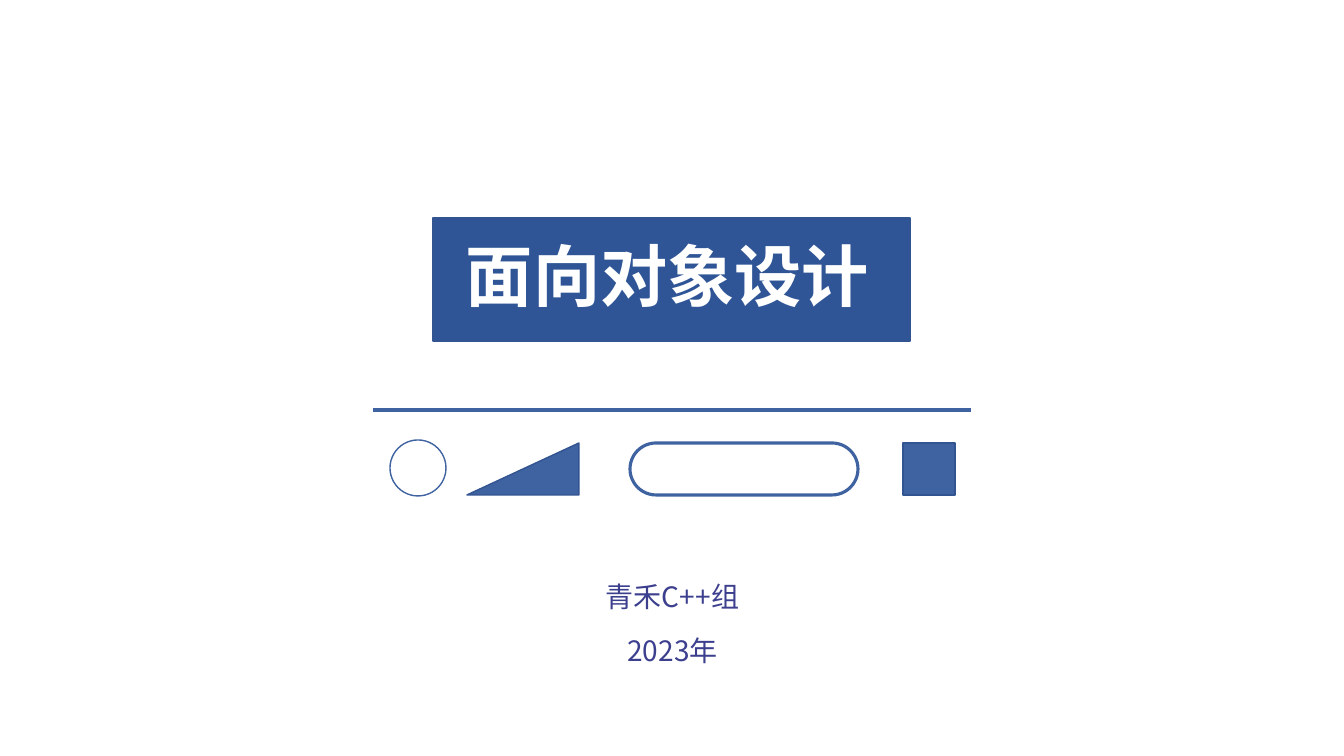
from lxml.etree import SubElement
from pptx import Presentation
from pptx.dml.color import RGBColor
from pptx.enum.shapes import MSO_CONNECTOR, MSO_SHAPE
from pptx.enum.text import MSO_AUTO_SIZE, PP_ALIGN
from pptx.oxml.ns import qn
from pptx.util import Emu, Pt

SLIDE_W, SLIDE_H = 1344, 756
EMU_PER_PX = 12192000 / SLIDE_W
WHITE = RGBColor(0xFF, 0xFF, 0xFF)
BANNER = RGBColor(0x2F, 0x55, 0x97)
BLUE = RGBColor(0x3F, 0x63, 0xA1)
EDGE = RGBColor(0x32, 0x54, 0x91)
INDIGO = RGBColor(0x3C, 0x3F, 0x8E)
CJK_FONT = "Noto Sans CJK SC"
TEXT_X, TEXT_W = 456, 433
ROW_Y, ROW_H = 443, 52


def px(n):
    return Emu(round(n * EMU_PER_PX))


def add_figure(s, kind, x, y, w, h, fill=None, line=EDGE, weight=1):
    sp = s.shapes.add_shape(kind, px(x), px(y), px(w), px(h))
    sp.shadow.inherit = False
    if fill is None:
        sp.fill.background()
    else:
        sp.fill.solid()
        sp.fill.fore_color.rgb = fill
    sp.line.color.rgb = line
    sp.line.width = Pt(weight)
    return sp


def add_rule(s, x1, x2, y, color, weight):
    cn = s.shapes.add_connector(MSO_CONNECTOR.STRAIGHT, px(x1), px(y), px(x2), px(y))
    cn.line.color.rgb = color
    cn.line.width = Pt(weight)
    SubElement(cn._element.spPr, qn("a:effectLst"))


def add_text(s, text, y, h, size=20, font=CJK_FONT, color=INDIGO, bold=False,
             align=PP_ALIGN.CENTER):
    sp = s.shapes.add_textbox(px(TEXT_X), px(y), px(TEXT_W), px(h))
    tf = sp.text_frame
    tf.word_wrap = True
    tf.auto_size = MSO_AUTO_SIZE.SHAPE_TO_FIT_TEXT
    p = tf.paragraphs[0]
    p.alignment = align
    r = p.add_run()
    r.text = text
    r.font.size = Pt(size)
    r.font.bold = bold
    r.font.color.rgb = color
    r.font.name = font
    SubElement(r._r.get_or_add_rPr(), qn("a:ea")).set("typeface", CJK_FONT)


def main():
    prs = Presentation()
    prs.slide_width, prs.slide_height = px(SLIDE_W), px(SLIDE_H)
    s = prs.slides.add_slide(prs.slide_layouts[6])

    add_figure(s, MSO_SHAPE.RECTANGLE, 433, 218, 477, 123, fill=BANNER)
    add_text(s, "面向对象设计", 229, 92, size=48, font="Arial", color=WHITE,
             bold=True, align=PP_ALIGN.JUSTIFY)

    add_rule(s, 373, 971, 410, BLUE, 3)
    add_figure(s, MSO_SHAPE.OVAL, 390, 440, 56, 56, line=BLUE)
    triangle = add_figure(s, MSO_SHAPE.RIGHT_TRIANGLE, 467, ROW_Y, 112, ROW_H, fill=BLUE)
    triangle._element.spPr.find(qn("a:xfrm")).set("flipH", "1")
    pill = add_figure(s, MSO_SHAPE.ROUNDED_RECTANGLE, 630, ROW_Y, 228, ROW_H,
                      line=BLUE, weight=2.25)
    pill.adjustments[0] = 0.5
    add_figure(s, MSO_SHAPE.RECTANGLE, 903, ROW_Y, ROW_H, ROW_H, fill=BLUE)

    add_text(s, "青禾C++组", 575, 44)
    add_text(s, "2023年", 629, 44)
    prs.save("out.pptx")


if __name__ == "__main__":
    main()
